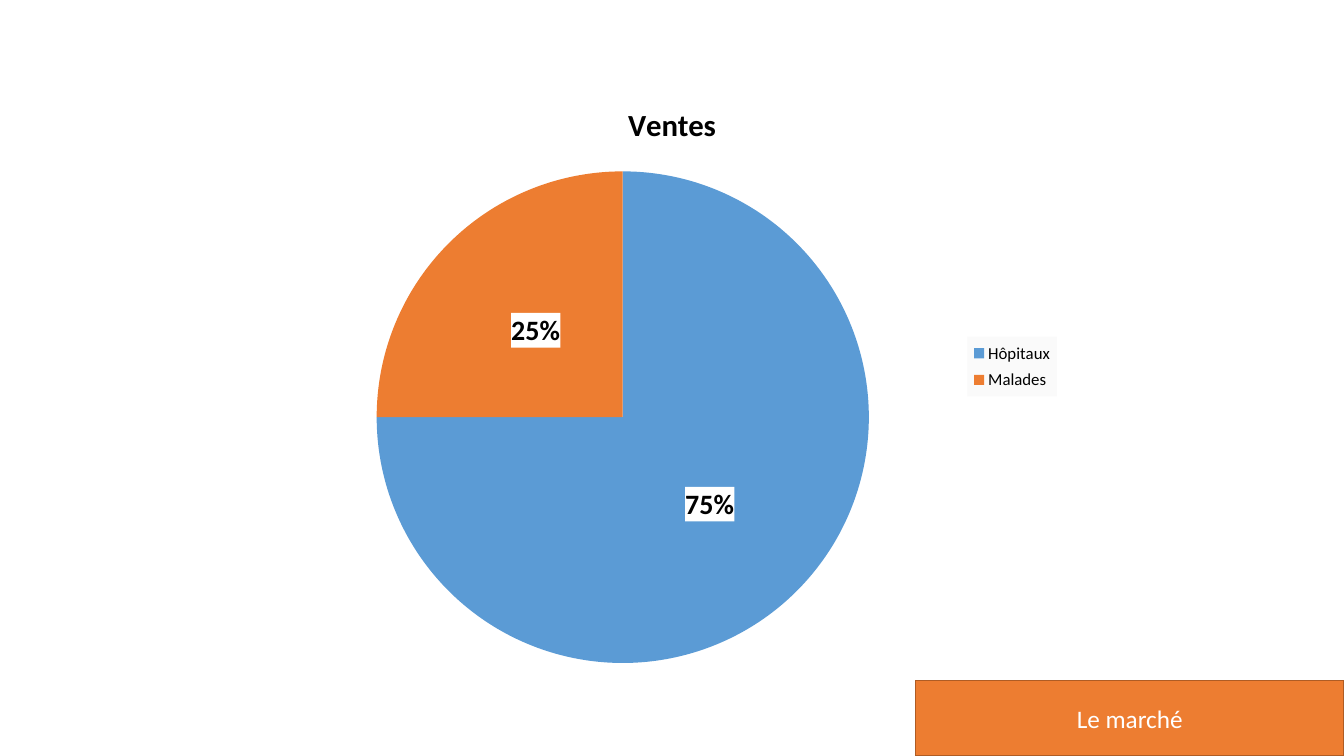
from pptx import Presentation
from pptx import util as u
from pptx.chart.data import CategoryChartData
from pptx.dml.color import RGBColor
from pptx.enum import chart as ch, shapes, text
from pptx.oxml import parse_xml
from pptx.oxml.ns import nsdecls

COLORS = {
    "blue": "5B9BD5",
    "orange": "ED7D31",
    "rust": "AF5C24",
    "white": "FFFFFF",
    "pale": "FAFAFA",
    "black": "000000",
}
FONT = "Calibri"


def rgb(name):
    return RGBColor.from_string(COLORS[name])


def style(font, size, color="black", bold=False):
    font.name = FONT
    font.size = u.Pt(size)
    font.bold = bold
    font.color.rgb = rgb(color)


def write(tf, content, align=text.PP_ALIGN.CENTER, **fmt):
    p = tf.paragraphs[0]
    p.alignment = align
    r = p.add_run()
    r.text = content
    style(r.font, **fmt)


def fill_part(part, color, line="<a:ln><a:noFill/></a:ln>"):
    part.find("{*}txPr").addprevious(parse_xml(
        f'<c:spPr {nsdecls("c", "a")}><a:solidFill><a:srgbClr val="{COLORS[color]}"/>'
        f'</a:solidFill>{line}</c:spPr>'))


def layout(part, target, **box):
    for old in part.findall("{*}layout"):
        part.remove(old)
    inner = f'<c:layoutTarget val="{target}"/>' if target else ""
    modes = '<c:xMode val="edge"/><c:yMode val="edge"/>'
    sizes = "".join(f'<c:{k} val="{v}"/>' for k, v in box.items())
    return parse_xml(f'<c:layout {nsdecls("c")}><c:manualLayout>{inner}{modes}{sizes}'
                     f'</c:manualLayout></c:layout>')


def sales_pie(s, x, y, w, h):
    data = CategoryChartData()
    data.categories = ["Hôpitaux", "Malades"]
    data.add_series("Ventes", [75, 25])
    chart = s.shapes.add_chart(ch.XL_CHART_TYPE.PIE, u.Inches(x), u.Inches(y),
                               u.Inches(w), u.Inches(h), data).chart
    style(chart.font, 10)
    chart.has_title = True
    write(chart.chart_title.text_frame, "Ventes", size=22, bold=True)
    chart.chart_title.include_in_layout = False

    plot = chart.plots[0]
    plot.vary_by_categories = True
    for i, color in enumerate(["blue", "orange"]):
        fmt = plot.series[0].points[i].format
        fmt.fill.solid()
        fmt.fill.fore_color.rgb = rgb(color)
        fmt.line.fill.background()

    labels = plot.series[0].data_labels
    style(labels.font, 20, bold=True)
    labels.show_percentage = True
    labels.show_value = False
    labels.number_format = "0%"
    labels.number_format_is_linked = False
    labels.position = ch.XL_LABEL_POSITION.CENTER
    fill_part(labels._element, "white")

    chart.has_legend = True
    legend = chart.legend
    legend.position = ch.XL_LEGEND_POSITION.RIGHT
    legend.include_in_layout = False
    style(legend.font, 12)
    fill_part(legend._element, "pale")
    legend._element.find("{*}legendPos").addnext(
        layout(legend._element, "", x=0.83, y=0.43, w=0.1, h=0.1))

    area = plot._element.getparent()
    area.insert(0, layout(area, "inner", x=0.17, y=0.15, w=0.55, h=0.83))
    fill_part(chart._chartSpace, "white",
              f'<a:ln w="12700"><a:solidFill><a:srgbClr val="{COLORS["white"]}"/>'
              f'</a:solidFill></a:ln>')


def section_tag(s, x, y, w, h):
    sp = s.shapes.add_shape(shapes.MSO_SHAPE.RECTANGLE, u.Inches(x), u.Inches(y),
                            u.Inches(w), u.Inches(h))
    sp.shadow.inherit = False
    sp.fill.solid()
    sp.fill.fore_color.rgb = rgb("orange")
    sp.line.color.rgb = rgb("rust")
    sp.line.width = u.Pt(1)
    tf = sp.text_frame
    tf.word_wrap = True
    tf.vertical_anchor = text.MSO_ANCHOR.MIDDLE
    write(tf, "Le marché", size=18, color="white")


def main():
    prs = Presentation()
    prs.slide_width = u.Inches(13.33)
    prs.slide_height = u.Inches(7.5)
    s = prs.slides.add_slide(prs.slide_layouts[6])
    s.background.fill.solid()
    s.background.fill.fore_color.rgb = rgb("white")
    section_tag(s, 9.08, 6.75, 4.25, 0.75)
    sales_pie(s, 2.22, 0.79, 8.89, 5.93)
    prs.save("out.pptx")


if __name__ == "__main__":
    main()
